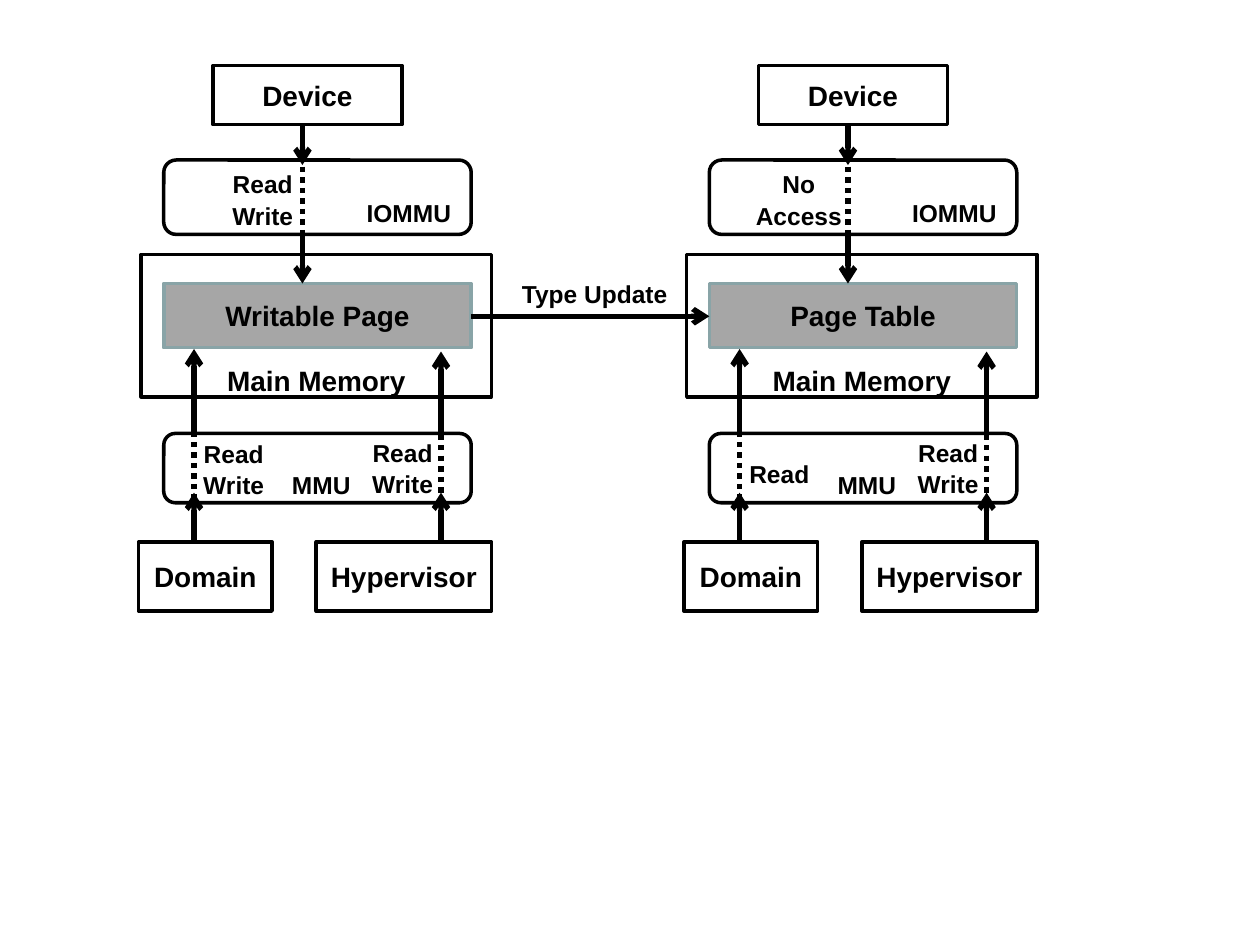
"""Build a slide showing device and memory protection before and after a type update."""
from lxml import etree
from pptx import Presentation
from pptx.dml.color import RGBColor
from pptx.enum.dml import MSO_LINE
from pptx.enum.shapes import MSO_CONNECTOR, MSO_SHAPE
from pptx.enum.text import MSO_ANCHOR, PP_ALIGN
from pptx.oxml.ns import qn
from pptx.util import Inches, Pt

COLORS = {"ink": "000000", "page": "A6A6A6", "page_line": "89A4A7"}
FONT = "Arial"
RECTANGLE = MSO_SHAPE.RECTANGLE
ROUNDED = MSO_SHAPE.ROUNDED_RECTANGLE
STRAIGHT = MSO_CONNECTOR.STRAIGHT
DOTTED = MSO_LINE.ROUND_DOT
TOP, MIDDLE, BOTTOM = MSO_ANCHOR.TOP, MSO_ANCHOR.MIDDLE, MSO_ANCHOR.BOTTOM
CENTER, RIGHT = PP_ALIGN.CENTER, PP_ALIGN.RIGHT
MARGINS = (0.1, 0.05, 0.1, 0.05)
PANEL_STEP = 4.33
PANELS = [
    {"page": "Writable Page", "device": ("Read\nWrite", 1.69, 0.79),
     "domain": ("Read\nWrite", 3.45, MIDDLE)},
    {"page": "Page Table", "device": ("No\nAccess", 1.54, 0.94),
     "domain": ("Read", 3.59, TOP)},
]


def color(name):
    """Return the named colour."""
    return RGBColor.from_string(COLORS[name])


def write_text(shape, text, size=16, anchor=MIDDLE, align=CENTER, margins=MARGINS):
    """Fill a shape with bold text, one paragraph per line."""
    frame = shape.text_frame
    frame.word_wrap = True
    frame.vertical_anchor = anchor
    (frame.margin_left, frame.margin_top,
     frame.margin_right, frame.margin_bottom) = map(Inches, margins)
    frame.text = text
    for index, paragraph in enumerate(frame.paragraphs):
        paragraph.alignment = align
        paragraph.space_before = Pt(1 if index else 0)
        font = paragraph.runs[0].font
        font.name, font.size, font.bold = FONT, Pt(size), True
        font.color.rgb = color("ink")


def add_box(slide, text, place, kind=RECTANGLE, fill=None, line="ink", **text_format):
    """Add an outlined box with its caption."""
    shape = slide.shapes.add_shape(kind, *map(Inches, place))
    shape.shadow.inherit = False
    if fill:
        shape.fill.solid()
        shape.fill.fore_color.rgb = color(fill)
    else:
        shape.fill.background()
    shape.line.color.rgb = color(line)
    shape.line.width = Pt(2)
    write_text(shape, text, **text_format)


def add_label(slide, text, place, **text_format):
    """Add a free-standing label."""
    label = slide.shapes.add_textbox(*map(Inches, place))
    write_text(label, text, size=14, **text_format)


def add_line(slide, start, end, dotted=False):
    """Add a dotted line, or a solid line with an arrowhead at its end."""
    connector = slide.shapes.add_connector(STRAIGHT, *map(Inches, start + end))
    connector.line.color.rgb = color("ink")
    connector.line.width = Pt(3)
    properties = connector._element.spPr
    if dotted:
        connector.line.dash_style = DOTTED
    else:
        etree.SubElement(properties.find(qn("a:ln")), qn("a:tailEnd"), type="arrow")
    etree.SubElement(properties, qn("a:effectLst"))


def add_panel(slide, offset, panel):
    """Add one system state, shifted right by the offset."""
    add_box(slide, panel["page"], (offset + 1.3, 2.25, 2.44, 0.51),
            fill="page", line="page_line")
    add_box(slide, "Domain", (offset + 1.1, 4.3, 1.06, 0.55))
    add_box(slide, "MMU", (offset + 1.3, 3.44, 2.44, 0.55), kind=ROUNDED,
            size=14, anchor=BOTTOM, margins=(0.16, 0.05, 0.1, 0))
    add_box(slide, "Hypervisor", (offset + 2.51, 4.3, 1.39, 0.55))
    add_box(slide, "Main Memory", (offset + 1.12, 2.02, 2.78, 1.13),
            anchor=BOTTOM, margins=(0.1, 0.05, 0.1, 0))
    add_box(slide, "Device", (offset + 1.69, 0.52, 1.5, 0.47))
    add_box(slide, "IOMMU", (offset + 1.3, 1.27, 2.44, 0.59), kind=ROUNDED,
            size=14, anchor=BOTTOM, align=RIGHT, margins=(0.1, 0.05, 0.13, 0.03))

    domain_x, device_x, hypervisor_x = offset + 1.54, offset + 2.4, offset + 3.5
    for x, start, end, dotted in [
        (domain_x, 3.44, 2.77, False),
        (device_x, 1.86, 2.25, False),
        (device_x, 0.99, 1.31, False),
        (hypervisor_x, 3.44, 2.79, False),
        (domain_x, 4.3, 3.91, False),
        (hypervisor_x, 4.3, 3.91, False),
        (domain_x, 3.34, 3.99, True),
        (hypervisor_x, 3.45, 3.99, True),
        (device_x, 1.24, 1.89, True),
    ]:
        add_line(slide, (x, start), (x, end), dotted)

    text, top, anchor = panel["domain"]
    add_label(slide, text, (offset + 1.46, top, 0.79, 0.55), anchor=anchor)
    add_label(slide, "Read\nWrite", (offset + 2.8, 3.45, 0.79, 0.53))
    text, left, width = panel["device"]
    add_label(slide, text, (offset + left, 1.31, width, 0.55))


def main():
    """Build and save the presentation."""
    presentation = Presentation()
    presentation.slide_width = Inches(10)
    presentation.slide_height = Inches(7.5)
    slide = presentation.slides.add_slide(presentation.slide_layouts[6])
    for index, panel in enumerate(PANELS):
        add_panel(slide, index * PANEL_STEP, panel)
    add_line(slide, (3.74, 2.51), (5.63, 2.51))
    add_label(slide, "Type Update", (3.97, 2.1, 1.5, 0.47))
    presentation.save("out.pptx")


main()
